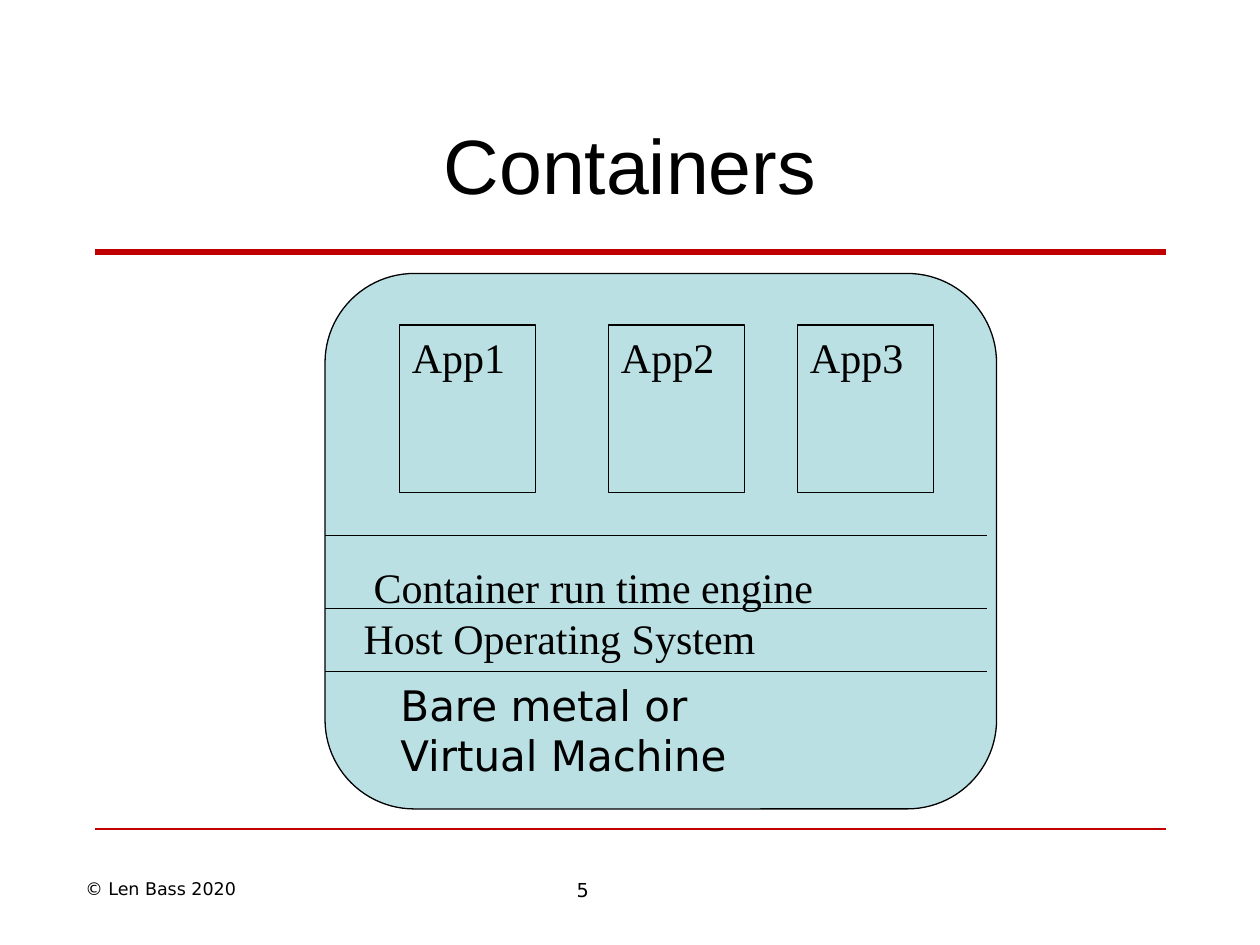
import pptx
import pptx.dml.color
import pptx.enum.shapes
import pptx.enum.text
import pptx.util
from lxml import etree
from pptx.oxml.ns import qn

Inches = pptx.util.Inches
SHAPES = pptx.enum.shapes.MSO_SHAPE
ALIGN = pptx.enum.text.PP_ALIGN
ANCHOR = pptx.enum.text.MSO_ANCHOR

BLACK, RED, TEAL = "000000", "C00000", "BBE0E3"
SANS, SERIF, TITLE_FONT = "DejaVu Sans", "Times New Roman", "Arial"


def color(hex_value):
    return pptx.dml.color.RGBColor.from_string(hex_value)


def style_paragraph(paragraph, text, size, font, align=ALIGN.LEFT):
    paragraph.text = text
    paragraph.alignment = align
    paragraph.font.size = pptx.util.Pt(size)
    paragraph.font.name = font
    paragraph.font.color.rgb = color(BLACK)


def add_text(slide, box, text, size, font, align=ALIGN.LEFT, anchor=ANCHOR.TOP):
    shape = slide.shapes.add_textbox(*map(Inches, box))
    shape.text_frame.word_wrap = True
    shape.text_frame.vertical_anchor = anchor
    style_paragraph(shape.text_frame.paragraphs[0], text, size, font, align)


def add_block(slide, kind, box, lines):
    shape = slide.shapes.add_shape(kind, *map(Inches, box))
    shape.shadow.inherit = False
    shape.fill.solid()
    shape.fill.fore_color.rgb = color(TEAL)
    shape.line.color.rgb = color(BLACK)
    shape.line.width = pptx.util.Pt(0.75)
    frame = shape.text_frame
    frame.vertical_anchor = ANCHOR.TOP
    for index, line in enumerate(lines):
        paragraph = frame.add_paragraph() if index else frame.paragraphs[0]
        style_paragraph(paragraph, line, 24, SERIF)
    return shape


def add_rule(slide, left, right, top, hex_value, width):
    line = slide.shapes.add_connector(
        pptx.enum.shapes.MSO_CONNECTOR.STRAIGHT,
        Inches(left), Inches(top), Inches(right), Inches(top))
    line.line.color.rgb = color(hex_value)
    line.line.width = pptx.util.Pt(width)
    etree.SubElement(line._element.spPr, qn("a:effectLst"))


def add_header(slide, left, top, width, height):
    add_text(slide, (left, top, width, height), "Containers", 44, TITLE_FONT,
             ALIGN.CENTER, ANCHOR.MIDDLE)
    add_rule(slide, left, left + width, 2, RED, 3)


def add_footer(slide, left, top, width):
    add_rule(slide, left, left + width, top, RED, 1)
    text_top = top + 0.34
    add_text(slide, (left - 0.17, text_top, 2.17, 0.27), "© Len Bass 2020", 10, SANS)
    add_text(slide, (left + 3.25, text_top, 1.25, 0.29), "5", 11, SANS, ALIGN.CENTER)


def add_stack(slide, left, top, width, height):
    # Host machine with its two software layers
    host = add_block(slide, SHAPES.ROUNDED_RECTANGLE, (left, top, width, height),
                     ["Container run time engine", "Host Operating System"])
    host.text_frame.margin_top = Inches(2.08)
    engine = host.text_frame.paragraphs[0]
    engine._p.get_or_add_pPr().set("marL", str(Inches(0.08)))
    add_text(slide, (left + 0.5, top + 3.17, 3.58, 0.91),
             "Bare metal or Virtual Machine", 24, SANS)

    # Layer boundaries
    for offset in (2.08, 2.66, 3.16):
        add_rule(slide, left, left + 5.25, top + offset, BLACK, 0.75)

    # Containerised applications
    for number, offset in enumerate((0.59, 2.25, 3.75), start=1):
        add_block(slide, SHAPES.RECTANGLE, (left + offset, top + 0.41, 1.08, 1.33),
                  [f"App{number}"])


def main():
    presentation = pptx.Presentation()
    presentation.slide_width = Inches(10)
    presentation.slide_height = Inches(7.5)
    slide = presentation.slides.add_slide(presentation.slide_layouts[6])
    add_footer(slide, 0.75, 6.58, 8.5)
    add_header(slide, 0.75, 0.67, 8.5, 1.25)
    add_stack(slide, 2.58, 2.17, 5.33, 4.25)
    presentation.save("out.pptx")


if __name__ == "__main__":
    main()
